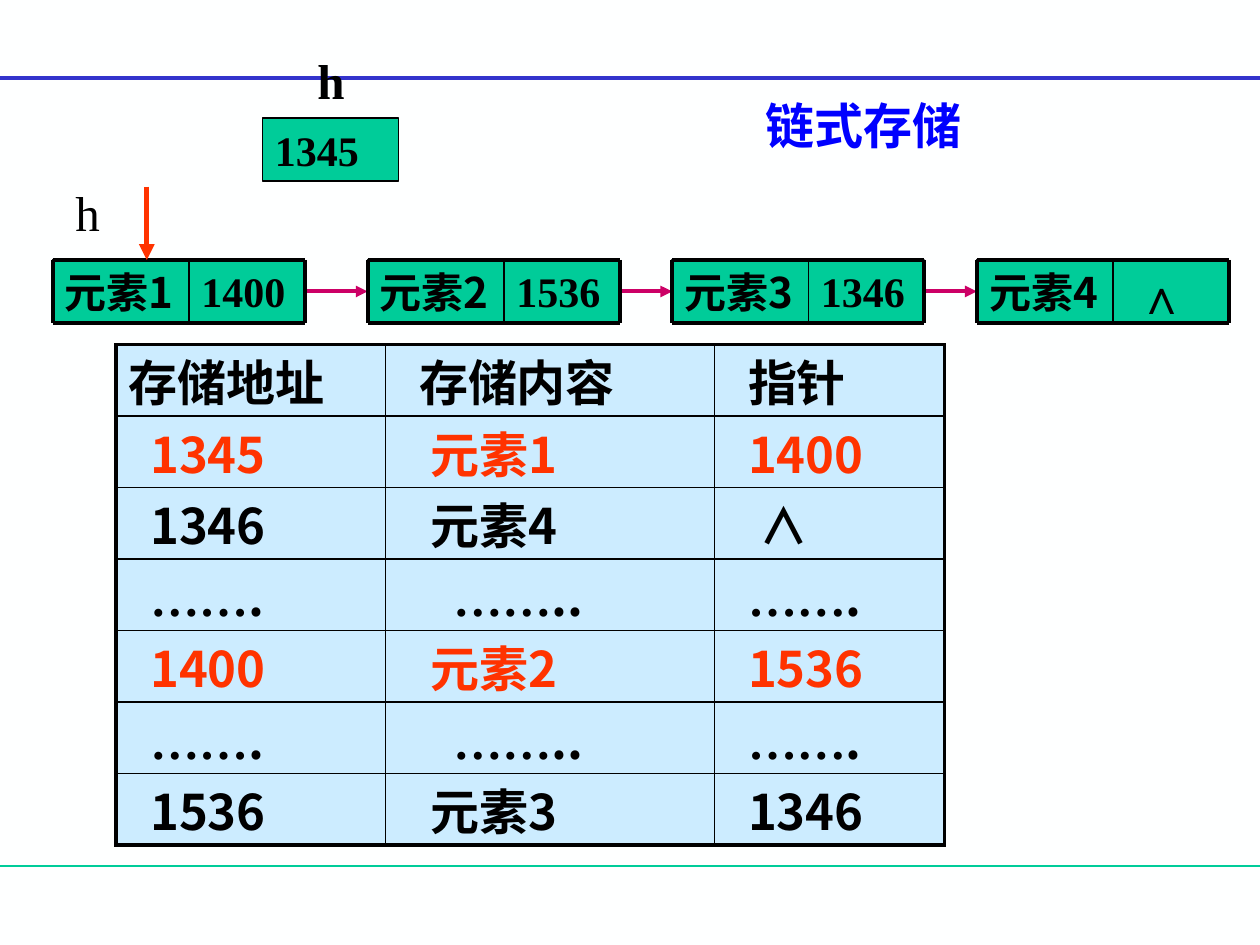
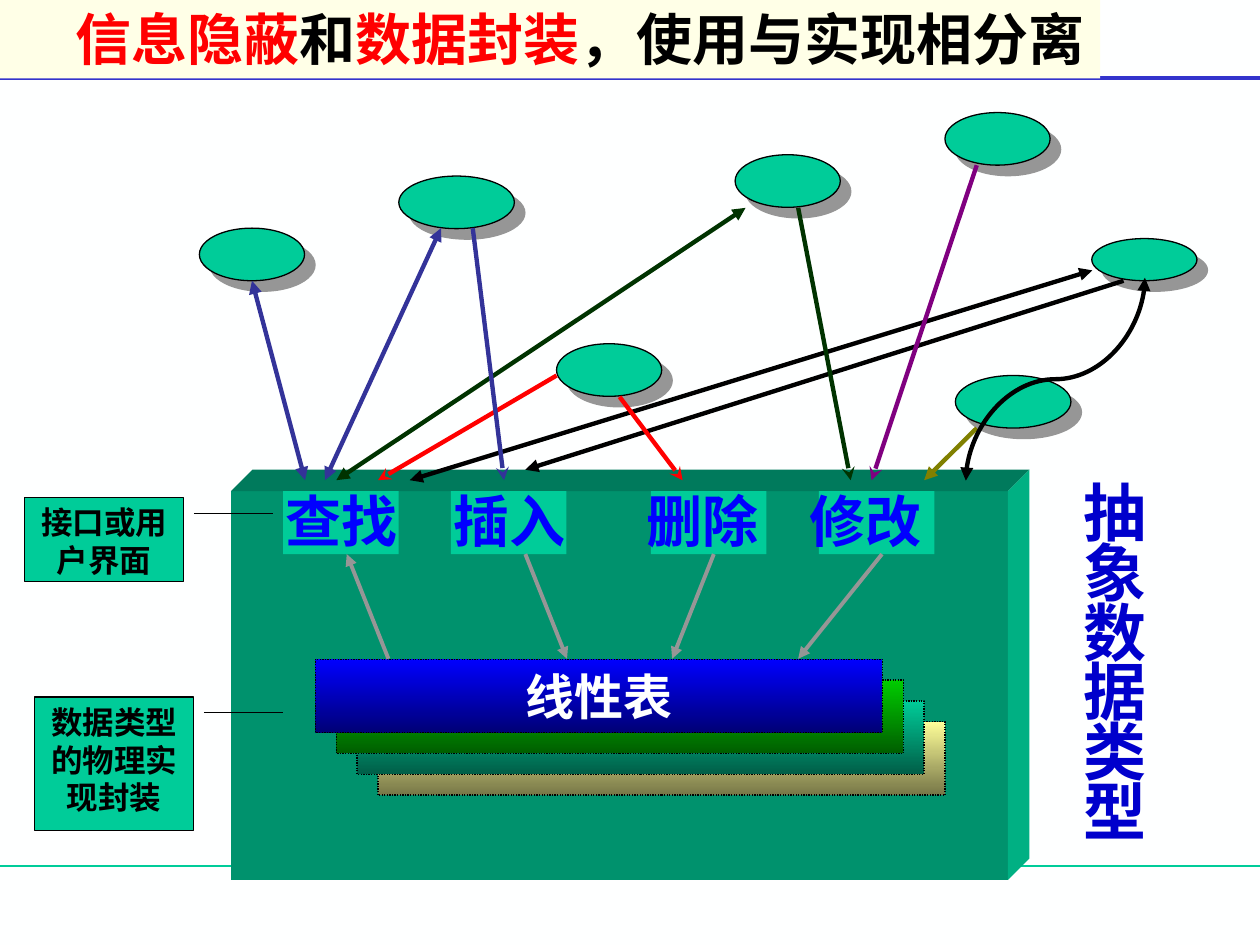
"""Build two slides on linked storage and on information hiding."""
from lxml.etree import SubElement
from pptx import Presentation
from pptx.dml.color import RGBColor
from pptx.enum.dml import MSO_LINE
from pptx.enum.shapes import MSO_CONNECTOR as LINK, MSO_SHAPE as SHAPE
from pptx.enum.text import MSO_ANCHOR as ANCHOR, MSO_AUTO_SIZE as AUTO, PP_ALIGN as ALIGN
from pptx.oxml.ns import qn
from pptx.util import Cm, Pt

SANS, SERIF = "Noto Sans CJK SC", "Times New Roman"
BLACK = RGBColor(0x00, 0x00, 0x00)
PAPER = RGBColor(0xFE, 0xFF, 0xFF)
GREEN = RGBColor(0x00, 0xCC, 0x99)
FRONT_GREEN = RGBColor(0x00, 0x92, 0x6D)
TOP_GREEN = RGBColor(0x00, 0x7A, 0x5C)
SIDE_GREEN = RGBColor(0x00, 0xB0, 0x83)
RULE_BLUE = RGBColor(0x33, 0x33, 0xCC)
BLUE = RGBColor(0x00, 0x00, 0xFF)
DEEP_BLUE = RGBColor(0x00, 0x00, 0xCC)
INDIGO = RGBColor(0x33, 0x33, 0x99)
FOREST = RGBColor(0x00, 0x33, 0x00)
PURPLE = RGBColor(0x80, 0x00, 0x80)
OLIVE = RGBColor(0x80, 0x80, 0x00)
MAGENTA = RGBColor(0xCC, 0x00, 0x66)
RED = RGBColor(0xFF, 0x00, 0x00)
ORANGE = RGBColor(0xFF, 0x33, 0x00)
GRAY = RGBColor(0x96, 0x96, 0x96)
TABLE_BLUE = RGBColor(0xCC, 0xEC, 0xFF)
CREAM = RGBColor(0xFF, 0xFF, 0xE7)


def write(frame, text, size=28, font=SANS, colour=BLACK, bold=True, align=ALIGN.LEFT,
          anchor=ANCHOR.TOP, wrap=True, leading=1.2, margins=None):
    """Fill a text frame; text is a string or a list of (string, overrides)."""
    frame.word_wrap = wrap
    frame.auto_size = AUTO.NONE
    frame.vertical_anchor = anchor
    if margins:
        frame.margin_left, frame.margin_top, frame.margin_right, frame.margin_bottom = map(Cm, margins)
    para = frame.paragraphs[0]
    para.alignment = align
    para.space_before = Pt(0)
    if font == SANS:
        para.line_spacing = Pt(round(size * leading, 1))
    for words, changes in [(text, {})] if isinstance(text, str) else text:
        span = para.add_run()
        span.text = words
        span.font.size, span.font.bold = Pt(size), bold
        span.font.color.rgb = changes.get("colour", colour)
        span.font.name = changes.get("font", font)
        SubElement(span.font._element, qn("a:ea"), typeface=span.font.name)
    return para


def draw(page, kind, place, fill, line=None):
    """Add a filled preset shape at a place given in centimetres."""
    shape = page.shapes.add_shape(kind, *map(Cm, place))
    shape.shadow.inherit = False
    shape.fill.solid()
    shape.fill.fore_color.rgb = fill
    if line is None:
        shape.line.fill.background()
    else:
        shape.line.color.rgb = line
        shape.line.width = Pt(0.75)
    return shape


deck = Presentation()
deck.slide_width, deck.slide_height = Cm(25.4), Cm(19.05)
deck.slide_master.background.fill.solid()
deck.slide_master.background.fill.fore_color.rgb = PAPER
layout = deck.slide_layouts[5]
storage, hiding = [deck.slides.add_slide(layout) for _ in range(2)]

title = storage.shapes.title
title.left, title.top, title.width, title.height = Cm(15.18), Cm(1.8), Cm(4.6), Cm(1.45)
write(title.text_frame, "链式存储", colour=BLUE, margins=(0.25, 0.12, 0, 0))

NODE_TOP, NODE_HEIGHT, ELEMENT_WIDTH, POINTER_WIDTH = 5.24, 1.27, 2.75, 2.33
NODE_BOTTOM = NODE_TOP + NODE_HEIGHT
node_lefts = [1.06, 7.41, 13.55, 19.69]
nodes, borders = [], []
for number, (left, target) in enumerate(zip(node_lefts, ["1400", "1536", "1346", "∧"]), 1):
    is_last = target == "∧"
    split = left + ELEMENT_WIDTH
    right = split + POINTER_WIDTH
    pointer = draw(storage, SHAPE.RECTANGLE, (split, NODE_TOP, POINTER_WIDTH, NODE_HEIGHT), GREEN, BLACK)
    write(pointer.text_frame, target, size=28 if is_last else 24, font=SERIF, wrap=False,
          margins=(0.5 if is_last else 0.25, 0.12, 0, 0))
    element = draw(storage, SHAPE.RECTANGLE, (left, NODE_TOP, ELEMENT_WIDTH, NODE_HEIGHT), GREEN, BLACK)
    write(element.text_frame, f"元素{number}", size=24, wrap=False, margins=(0.25, 0.13, 0, 0))
    nodes.append((element, pointer))
    borders += [(storage, (left, y, right, y), BLACK, 2.25, None, None) for y in (NODE_TOP, NODE_BOTTOM)]
    borders += [(storage, (x, NODE_TOP, x, NODE_BOTTOM), BLACK, width, None, None)
                for x, width in [(left, 2.25), (split, 1), (right, 2.25)]]

head_cell = draw(storage, SHAPE.RECTANGLE, (5.29, 2.38, ELEMENT_WIDTH, NODE_HEIGHT), GREEN, BLACK)
write(head_cell.text_frame, "1345", size=24, font=SERIF, wrap=False, margins=(0.25, 0.13, 0, 0))
for left, top, bold in [(1.27, 3.56, False), (6.15, 0.89, True)]:
    label = storage.shapes.add_textbox(Cm(left), Cm(top), Cm(1.05), Cm(1.45))
    write(label.text_frame, "h", font=SERIF, bold=bold, margins=(0.25, 0.12, 0, 0))

records = [
    ("存储地址", "存储内容", "指针"),
    ("1345", "元素1", "1400"),
    ("1346", "元素4", "∧"),
    ("…….", "……..", "……."),
    ("1400", "元素2", "1536"),
    ("…….", "……..", "……."),
    ("1536", "元素3", "1346"),
]
special_indents = {"存储地址": 0.25, "存储内容": 0.68, "……..": 1.37, "∧": 0.91}
table_frame = storage.shapes.add_table(len(records), 3, Cm(2.34), Cm(6.95), Cm(16.7), Cm(10.08))
table = table_frame.table
for column, width in zip(table.columns, [5.43, 6.63, 4.64]):
    column.width = Cm(width)
for r, record in enumerate(records):
    table.rows[r].height = Cm(1.44)
    for c, text in enumerate(record):
        cell = table.cell(r, c)
        cell.margin_left = Cm(special_indents.get(text, [0.69, 0.91, 0.68][c]))
        cell.margin_top, cell.margin_right, cell.margin_bottom = Cm(0.25), Cm(0), Cm(0)
        dots = text.count("…")
        pieces = [(text[:dots], {"font": SERIF}), (text[dots:], {})] if dots else text
        write(cell.text_frame, pieces, colour=ORANGE if r in (1, 4) else BLACK)
        cell.fill.solid()
        cell.fill.fore_color.rgb = TABLE_BLUE
        properties = cell._tc.get_or_add_tcPr()
        outer_sides = [c == 0, c == 2, r == 0, r == len(records) - 1]
        for i, (side, outer) in enumerate(zip("LRTB", outer_sides)):
            border = SubElement(properties, qn(f"a:ln{side}"), w=str(Pt(2.25 if outer else 1)))
            SubElement(SubElement(border, qn("a:solidFill")), qn("a:srgbClr"), val=str(BLACK))
            properties.insert(i, border)

title = hiding.shapes.title
title.left, title.top, title.width, title.height = Cm(0), Cm(-0.02), Cm(22.18), Cm(1.6)
title.fill.solid()
title.fill.fore_color.rgb = CREAM
write(title.text_frame, [("信息隐蔽", {"colour": RED}), ("和", {}), ("数据封装", {"colour": RED}),
                         ("，使用与实现相分离", {})], size=32, margins=(1.52, 0.12, 0, 0))

side_label = hiding.shapes.add_textbox(Cm(21.65), Cm(9.73), Cm(1.73), Cm(7.7))
write(side_label.text_frame, "抽象数据类型", size=36, colour=DEEP_BLUE, leading=0.95,
      margins=(0.2, 0.13, 0.2, 0))

users = [(4.02, 4.6, 2.12, 1.06), (8.04, 3.55, 2.33, 1.06), (11.22, 6.93, 2.12, 1.06),
         (14.82, 3.12, 2.12, 1.06), (19.26, 7.57, 2.33, 1.06), (19.05, 2.27, 2.12, 1.06),
         (22.01, 4.81, 2.12, 0.85)]
for place in users:
    user = draw(hiding, SHAPE.OVAL, place, GREEN, BLACK)
    effects = user.element.spPr.find(qn("a:effectLst"))
    shadow = SubElement(effects, qn("a:outerShdw"), dist=str(Pt(8.5)), dir="2700000",
                        algn="ctr", rotWithShape="0")
    SubElement(shadow, qn("a:srgbClr"), val=str(GRAY))

LEFT, TOP, RIGHT, BOTTOM, DEPTH = 4.66, 9.9, 20.32, 17.74, 0.43
draw(hiding, SHAPE.RECTANGLE, (LEFT, TOP, RIGHT - LEFT, BOTTOM - TOP), FRONT_GREEN)
faces = [
    (TOP_GREEN, [(LEFT, TOP), (LEFT + DEPTH, TOP - DEPTH), (RIGHT + DEPTH, TOP - DEPTH), (RIGHT, TOP)]),
    (SIDE_GREEN, [(RIGHT, TOP), (RIGHT + DEPTH, TOP - DEPTH), (RIGHT + DEPTH, BOTTOM - DEPTH),
                  (RIGHT, BOTTOM)]),
]
for colour, corners in faces:
    (start_x, start_y), *others = [(Cm(x), Cm(y)) for x, y in corners]
    builder = hiding.shapes.build_freeform(start_x, start_y)
    builder.add_line_segments(others, close=True)
    face = builder.convert_to_shape()
    face.shadow.inherit = False
    face.fill.solid()
    face.fill.fore_color.rgb = colour
    face.line.fill.background()

for left in [5.71, 9.09, 13.12, 16.51]:
    draw(hiding, SHAPE.RECTANGLE, (left, TOP, 2.33, 1.27), GREEN)
operations = hiding.shapes.add_textbox(Cm(5.51), Cm(9.68), Cm(14.2), Cm(1.63))
para = write(operations.text_frame, "查找\t插入\t删除\t修改", size=32, colour=BLUE,
             margins=(0.25, 0.13, 0, 0))
tabs = SubElement(para._p.get_or_add_pPr(), qn("a:tabLst"))
for stop in [3.38, 7.28, 10.56]:
    SubElement(tabs, qn("a:tab"), pos=str(Cm(stop)), algn="l")

slab_colours = [("FFFF99", "767647"), ("00CC99", "005E47"), ("00CC00", "005E00"), ("0000FF", "000076")]
for i, shades in enumerate(slab_colours):
    slab = draw(hiding, SHAPE.RECTANGLE, (7.62 - 0.42 * i, 14.55 - 0.42 * i, 11.43, 1.48), GREEN, BLACK)
    slab.line.dash_style = MSO_LINE.ROUND_DOT
    slab.fill.gradient()
    slab.fill.gradient_angle = 270
    for stop, shade in zip(slab.fill.gradient_stops, shades):
        stop.color.rgb = RGBColor.from_string(shade)
write(slab.text_frame, "线性表", colour=PAPER, align=ALIGN.CENTER, anchor=ANCHOR.MIDDLE)

callouts = [("接口或用户界面", (0.5, 10.03, 3.2, 1.7), 0.188),
            ("数据类型的物理实现封装", (0.7, 14.05, 3.2, 2.69), 0.118)]
for text, place, height in callouts:
    callout = draw(hiding, SHAPE.LINE_CALLOUT_2, place, GREEN, BLACK)
    for i, value in enumerate([height, 1.066, height, 1.31, height, 1.562]):
        callout.adjustments[i] = value
    write(callout.text_frame, text, size=18, align=ALIGN.CENTER, margins=(0.25, 0.12, 0.25, 0.1))

middle = NODE_TOP + NODE_HEIGHT / 2
chain = [(storage, (left + 5.08, middle, following, middle), MAGENTA, 2.25, None, "triangle")
         for left, following in zip(node_lefts, node_lefts[1:])]
rules = [
    (storage, (0, 17.46, 25.4, 17.46), GREEN, 0.75, None, None),
    (storage, (0, 1.57, 25.4, 1.57), RULE_BLUE, 2.25, None, None),
]
strokes = chain + rules + borders + [
    (storage, (2.96, 3.76, 2.96, 5.24), ORANGE, 3, None, "triangle"),
    (hiding, (5.08, 5.66, 6.15, 9.68), INDIGO, 2.5, "triangle", "triangle"),
    (hiding, (8.89, 4.6, 6.55, 9.68), INDIGO, 2.5, "triangle", "triangle"),
    (hiding, (15.03, 4.19, 6.78, 9.68), FOREST, 2.5, "triangle", "triangle"),
    (hiding, (11.22, 7.57, 7.62, 9.68), RED, 2.5, None, "stealth"),
    (hiding, (22.02, 5.45, 8.26, 9.68), BLACK, 2.5, "triangle", "triangle"),
    (hiding, (9.53, 4.6, 10.16, 9.68), INDIGO, 2.5, None, "stealth"),
    (hiding, (22.65, 5.66, 10.59, 9.47), BLACK, 2.5, None, "triangle"),
    (hiding, (12.49, 8, 13.76, 9.68), RED, 2.5, None, "stealth"),
    (hiding, (16.09, 4.19, 17.15, 9.68), FOREST, 2.5, None, "stealth"),
    (hiding, (19.69, 3.33, 17.57, 9.68), PURPLE, 2.5, None, "stealth"),
    (hiding, (19.69, 8.63, 18.63, 9.68), OLIVE, 2.5, None, "triangle"),
    (hiding, (7.83, 13.28, 6.99, 11.17), GRAY, 2.25, None, "triangle"),
    (hiding, (10.59, 11.17, 11.43, 13.28), GRAY, 2.25, None, "triangle"),
    (hiding, (14.39, 11.17, 13.55, 13.28), GRAY, 2.25, None, "triangle"),
    (hiding, (17.78, 11.17, 16.09, 13.28), GRAY, 2.25, None, "triangle"),
    (hiding, (19.23, 5.84, 23.32, 9.45), BLACK, 2.5, "triangle", "triangle"),
]
lines = []
for page, ends, colour, width, head, tail in strokes:
    kind = LINK.CURVE if ends == strokes[-1][1] else LINK.STRAIGHT
    line = page.shapes.add_connector(kind, *map(Cm, ends))
    line.line.color.rgb = colour
    line.line.width = Pt(width)
    outline = line.element.spPr.find(qn("a:ln"))
    for tag, arrow in [("a:headEnd", head), ("a:tailEnd", tail)]:
        if arrow:
            SubElement(outline, qn(tag), type=arrow)
    SubElement(line.element.spPr, qn("a:effectLst"))
    lines.append(line)

lines[-1].element.spPr.find(qn("a:xfrm")).set("rot", "5400000")
for line, (_, pointer), (element, _) in zip(lines, nodes, nodes[1:]):
    line.begin_connect(pointer, 3)
    line.end_connect(element, 1)
first_rule = len(chain)
for number, rule in enumerate(lines[first_rule:first_rule + len(rules)], 101):
    rule.element.nvCxnSpPr.cNvPr.set("id", str(number))
    layout.shapes.element.append(rule.element)

deck.save("out.pptx")
